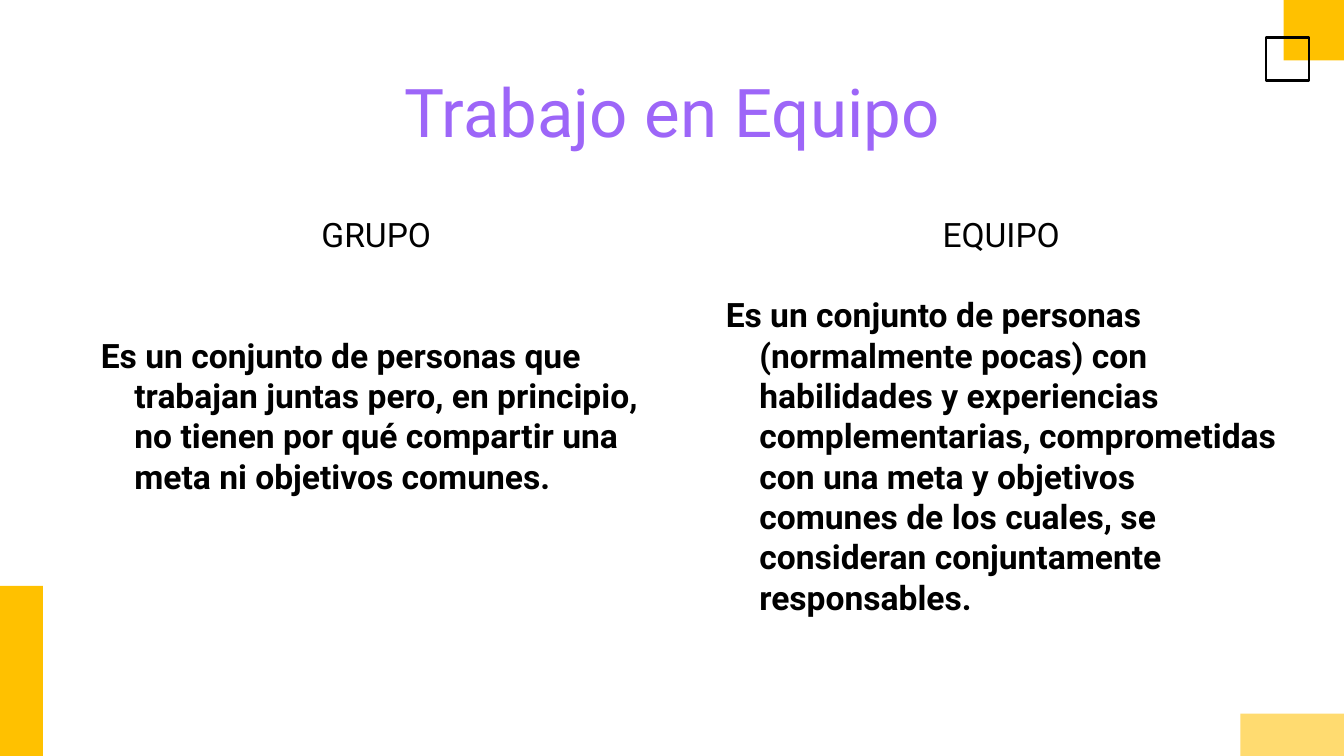
from pptx import Presentation
from pptx.dml.color import RGBColor
from pptx.enum.shapes import MSO_SHAPE
from pptx.enum.text import MSO_ANCHOR, MSO_AUTO_SIZE, PP_ALIGN
from pptx.oxml.ns import qn
from pptx.util import Inches, Pt

AMBER = RGBColor(0xFF, 0xC1, 0x00)
PALE_AMBER = RGBColor(0xFF, 0xDB, 0x70)
PURPLE = RGBColor(0x9D, 0x66, 0xF8)
BLACK = RGBColor(0x00, 0x00, 0x00)

FONT = "Roboto"
LINE_HEIGHT = 21.6  # points

GROUP_TEXT = ("Es un conjunto de personas que trabajan juntas pero, en principio, "
              "no tienen por qué compartir una meta ni objetivos comunes.")
TEAM_TEXT = ("Es un conjunto de personas (normalmente pocas) con habilidades y "
             "experiencias complementarias, comprometidas con una meta y objetivos "
             "comunes de los cuales, se consideran conjuntamente responsables.")


def add_rectangle(page, left, top, width, height, fill=None, line=None):
    box = page.shapes.add_shape(MSO_SHAPE.RECTANGLE, Inches(left), Inches(top),
                                Inches(width), Inches(height))
    box.shadow.inherit = False
    if fill is None:
        box.fill.background()
    else:
        box.fill.solid()
        box.fill.fore_color.rgb = fill
    if line is None:
        box.line.fill.background()
    else:
        box.line.color.rgb = line
        box.line.width = Pt(1.5)


def place(box, left, top, width, height, inset_top=0):
    """Move a placeholder and return its text frame without side margins."""
    box.left, box.top = Inches(left), Inches(top)
    box.width, box.height = Inches(width), Inches(height)
    frame = box.text_frame
    frame.margin_left = frame.margin_right = frame.margin_bottom = 0
    frame.margin_top = Inches(inset_top)
    frame.word_wrap = True
    frame.auto_size = MSO_AUTO_SIZE.NONE
    frame.vertical_anchor = MSO_ANCHOR.TOP
    return frame


def write(para, text, size=18, color=BLACK, bold=False, align=PP_ALIGN.LEFT):
    para.alignment = align
    para.space_before = Pt(0)
    span = para.add_run()
    span.text = text
    span.font.name = FONT
    span.font.size = Pt(size)
    span.font.bold = bold
    span.font.color.rgb = color


def hang(para):
    """Hanging indent with no bullet."""
    properties = para._p.get_or_add_pPr()
    properties.set("marL", str(Inches(0.5)))
    properties.set("indent", str(Inches(-0.25)))
    properties.append(properties.makeelement(qn("a:buNone"), {}))


def fill_column(box, left, height, heading, text, gap_lines):
    frame = place(box, left, 1.29, 4.35, height, inset_top=0.3)
    title, body = frame.paragraphs[0], frame.add_paragraph()
    write(title, heading, align=PP_ALIGN.CENTER)
    write(body, text, bold=True)
    body.space_before = Pt(gap_lines * LINE_HEIGHT)
    for para in (title, body):
        para.line_spacing = Pt(LINE_HEIGHT)
        hang(para)


def main():
    # Widescreen page, 16:9
    deck = Presentation()
    deck.slide_width = Inches(10)
    deck.slide_height = deck.slide_width * 9 // 16
    page = deck.slides.add_slide(deck.slide_layouts[3])
    for box in list(page.placeholders)[3:]:
        box.element.getparent().remove(box.element)
    title, group, team = page.placeholders

    # Corner decorations
    add_rectangle(page, 9.55, 0, 0.45, 0.45, fill=AMBER)
    add_rectangle(page, 0, 4.36, 0.32, 1.27, fill=AMBER)
    add_rectangle(page, 9.42, 0.28, 0.32, 0.32, line=BLACK)
    add_rectangle(page, 9.23, 5.31, 0.77, 0.32, fill=PALE_AMBER)

    # Title
    frame = place(title, 0.83, 0.52, 8.34, 0.61)
    write(frame.paragraphs[0], "Trabajo en Equipo", size=36, color=PURPLE,
          align=PP_ALIGN.CENTER)

    # The two definitions
    fill_column(group, 0.5, 2.73, "GRUPO", GROUP_TEXT, gap_lines=2)
    fill_column(team, 5.15, 3.33, "EQUIPO", TEAM_TEXT, gap_lines=1)

    deck.save("out.pptx")


if __name__ == "__main__":
    main()
